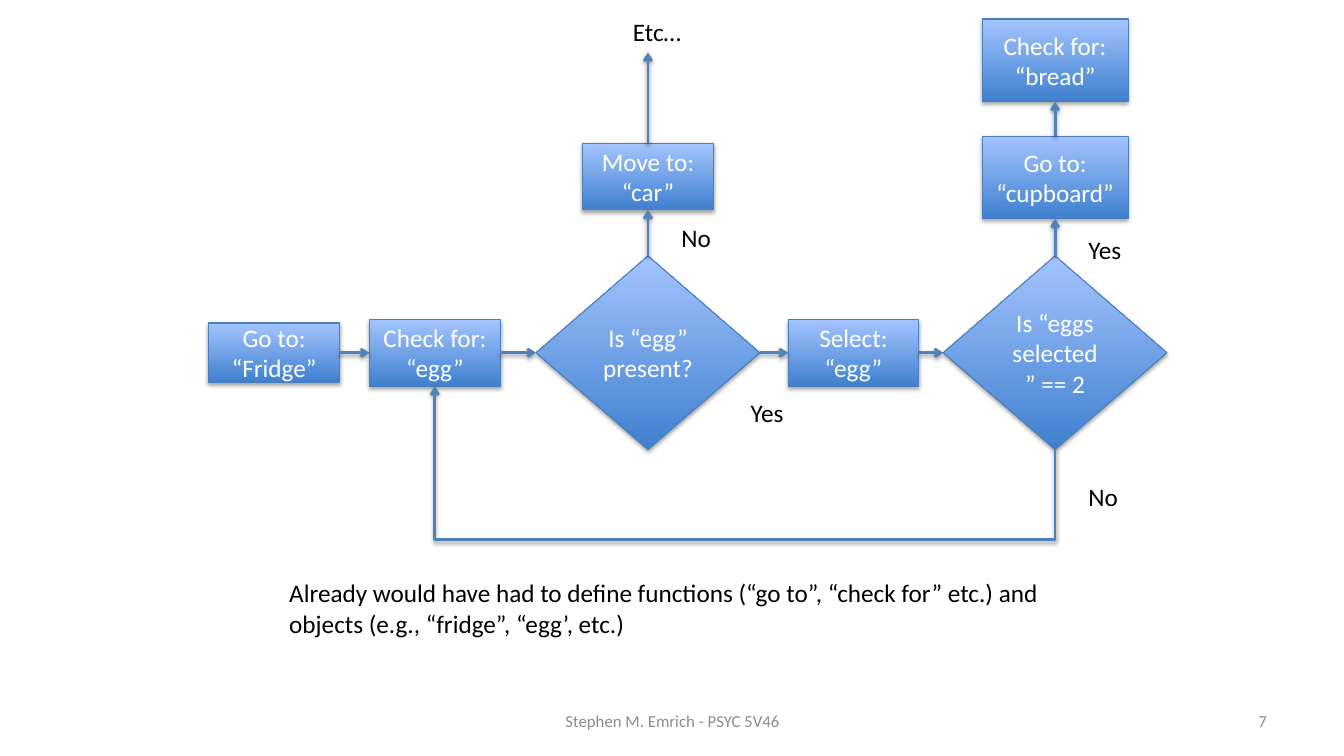
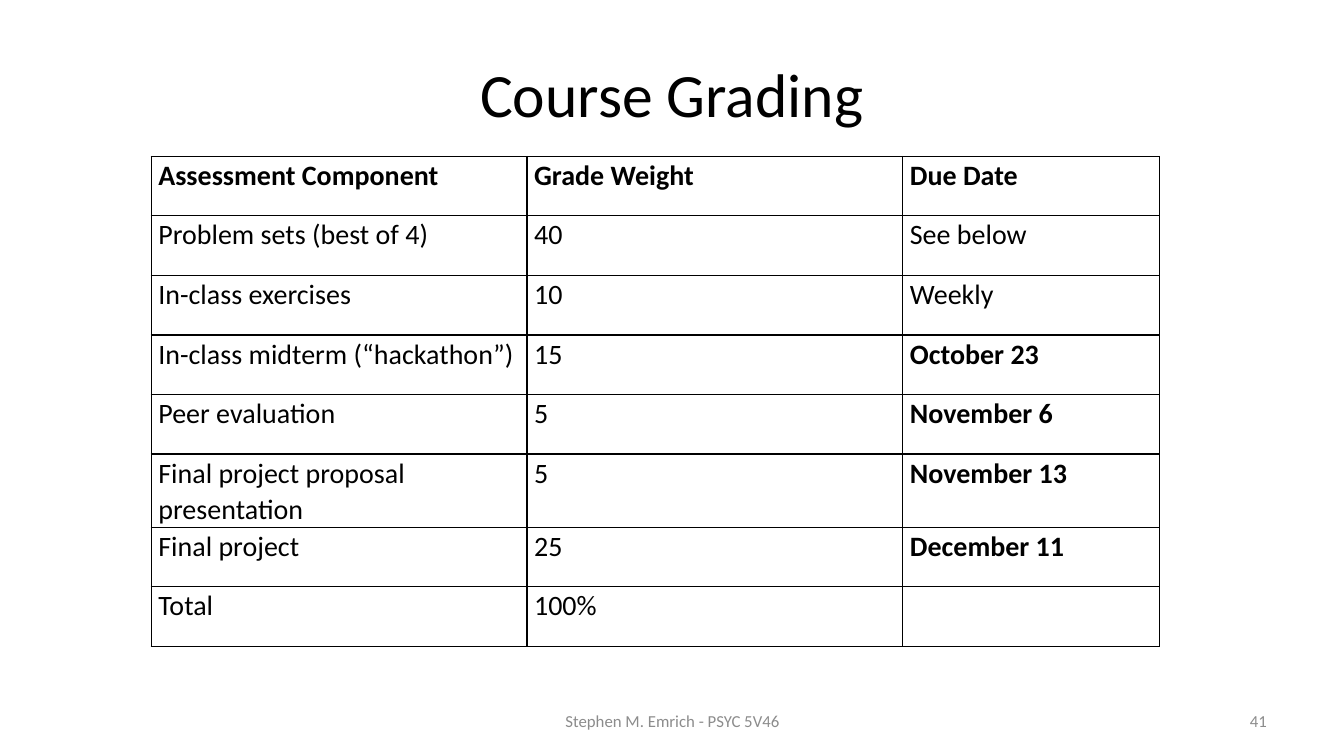
from lxml import etree
from pptx import Presentation
from pptx.dml.color import RGBColor
from pptx.enum import shapes, text
from pptx.oxml import parse_xml
from pptx.oxml.ns import nsdecls, qn
from pptx.util import Cm, Pt

FONT = "Calibri"
BLACK, WHITE, GREY = "000000", "FFFFFF", "8C8C8C"
DEEP_BLUE, PALE_BLUE, EDGE_BLUE, ARROW_BLUE = "3F80CE", "A4C4FF", "4B7EBC", "4F81BD"
FOOTER = "Stephen M. Emrich - PSYC 5V46"

RECT, DIAMOND = shapes.MSO_SHAPE.RECTANGLE, shapes.MSO_SHAPE.DIAMOND
LEFT, CENTER, RIGHT = text.PP_ALIGN.LEFT, text.PP_ALIGN.CENTER, text.PP_ALIGN.RIGHT
MIDDLE, TOP = text.MSO_ANCHOR.MIDDLE, text.MSO_ANCHOR.TOP
SITE = {"top": 0, "left": 1, "bottom": 2, "right": 3}

# Flowchart, in cm: columns and main row give the centres of the steps
EGG_X, PRESENT_X, COUNT_X, MAIN_Y = 10.96, 16.33, 26.59, 8.89
STEP, CUPBOARD, DECISION = (3.3, 1.68), (3.68, 2.08), (5.64, 4.88)
STEPS = {
    "fridge": (RECT, 6.91, MAIN_Y, (3.3, 1.5), ["Go to: “Fridge”"]),
    "egg": (RECT, EGG_X, MAIN_Y, STEP, ["Check for: “egg”"]),
    "present": (DIAMOND, PRESENT_X, MAIN_Y, DECISION, ["Is “egg” present?"]),
    "select": (RECT, 21.51, MAIN_Y, STEP, ["Select: “egg”"]),
    "count": (DIAMOND, COUNT_X, MAIN_Y, DECISION, ["Is “eggs selected” == 2"]),
    "car": (RECT, PRESENT_X, 4.45, STEP, ["Move to: “car”"]),
    "cupboard": (RECT, COUNT_X, 4.47, CUPBOARD, ["Go to: “cupboard”"]),
    "bread": (RECT, COUNT_X, 1.52, CUPBOARD, ["Check for:", "“bread”"]),
}
FLOWS = [
    ("fridge", "right", "egg", "left"),
    ("egg", "right", "present", "left"),
    ("present", "right", "select", "left"),
    ("select", "right", "count", "left"),
    ("present", "top", "car", "bottom"),
    ("count", "top", "cupboard", "bottom"),
    ("cupboard", "top", "bread", "bottom"),
]
ETC_Y, LOOP_DROP = 1.32, 2.27
LABELS = [
    ("Yes", 18.67, 9.88, 1.35),
    ("No", 16.92, 5.49, 1.27),
    ("Yes", 27.18, 5.79, 1.35),
    ("No", 27.18, 12.01, 1.27),
    ("Etc…", 15.7, 0.28, 1.8),
]
REMARK = ("Already would have had to define functions (“go to”, “check for” etc.) "
          "and objects (e.g., “fridge”, “egg’, etc.)")

GRADING = [
    ("Assessment Component", "Grade Weight", "Due Date"),
    ("Problem sets (best of 4)", "40", "See below"),
    ("In-class exercises", "10", "Weekly"),
    ("In-class midterm (“hackathon”)", "15", "October 23"),
    ("Peer evaluation", "5", "November 6"),
    ("Final project proposal presentation", "5", "November 13"),
    ("Final project", "25", "December 11"),
    ("Total", "100%", ""),
]
FIXED_DATES = {"October 23", "November 6", "November 13", "December 11"}
COLUMN_WIDTHS, ROW_HEIGHT = (9.47, 9.47, 6.48), 1.5


def rgb(value):
    return RGBColor.from_string(value)


def write(frame, paragraphs, size, color, align=LEFT, anchor=TOP):
    frame.vertical_anchor = anchor
    for index, words in enumerate(paragraphs):
        paragraph = frame.paragraphs[0] if index == 0 else frame.add_paragraph()
        paragraph.alignment = align
        run = paragraph.add_run()
        run.text = words
        run.font.size, run.font.name = Pt(size), FONT
        run.font.color.rgb = rgb(color)


def add_text(slide, words, box, size=18, color=BLACK, wrap=True, **layout):
    frame = slide.shapes.add_textbox(*map(Cm, box)).text_frame
    frame.word_wrap = wrap
    write(frame, [words], size, color, **layout)


def add_footer(slide, number):
    style = dict(size=12, color=GREY, anchor=MIDDLE)
    add_text(slide, FOOTER, (11.59, 17.65, 10.72, 1.01), align=CENTER, **style)
    add_text(slide, number, (24.28, 17.65, 7.9, 1.01), align=RIGHT, **style)


def cast_shadow(shape, distance, opacity):
    shape._element.spPr.append(parse_xml(
        f'<a:effectLst {nsdecls("a")}><a:outerShdw blurRad="{Pt(3.1)}" '
        f'dist="{Pt(distance)}" dir="5400000" rotWithShape="0">'
        f'<a:srgbClr val="{BLACK}"><a:alpha val="{opacity * 1000}"/></a:srgbClr>'
        '</a:outerShdw></a:effectLst>'))


def add_step(slide, kind, center_x, center_y, size, paragraphs):
    width, height = size
    step = slide.shapes.add_shape(kind, Cm(center_x - width / 2),
                                  Cm(center_y - height / 2), Cm(width), Cm(height))
    step.fill.gradient()
    step.fill.gradient_angle = 90
    for stop, color in zip(step.fill.gradient_stops, (DEEP_BLUE, PALE_BLUE)):
        stop.color.rgb = rgb(color)
    step.line.color.rgb, step.line.width = rgb(EDGE_BLUE), Pt(0.75)
    cast_shadow(step, 1.8, 35)
    write(step.text_frame, paragraphs, 18, WHITE, CENTER, MIDDLE)
    return step


def add_arrow(slide, kind=shapes.MSO_CONNECTOR.STRAIGHT, ends=(0, 0, 0, 0)):
    arrow = slide.shapes.add_connector(kind, *map(Cm, ends))
    arrow.line.color.rgb, arrow.line.width = rgb(ARROW_BLUE), Pt(2)
    etree.SubElement(arrow.line._get_or_add_ln(), qn("a:tailEnd"), type="arrow")
    cast_shadow(arrow, 1.6, 38)
    return arrow


def glue(arrow, start, start_side, end, end_side):
    arrow.begin_connect(start, SITE[start_side])
    arrow.end_connect(end, SITE[end_side])


def add_loop(slide, start, end):
    """Arrow from the bottom of start, below both steps, up to the bottom of end."""
    loop = add_arrow(slide, shapes.MSO_CONNECTOR.ELBOW)
    glue(loop, start, "bottom", end, "bottom")
    span, rise = loop.width, loop.height
    middle_x, middle_y = loop.left + span // 2, loop.top + rise // 2
    loop.left, loop.top = middle_x - rise // 2, middle_y - span // 2
    loop.width, loop.height = rise, span
    xfrm = loop._element.spPr.find(qn("a:xfrm"))
    xfrm.attrib.pop("flipV", None)
    xfrm.set("flipH", "1")
    xfrm.set("rot", "5400000")
    geometry = loop._element.spPr.find(qn("a:prstGeom"))
    guides = geometry.find(qn("a:avLst"))
    if guides is None:
        guides = etree.SubElement(geometry, qn("a:avLst"))
    bend = round(-Cm(LOOP_DROP) / rise * 100000)
    etree.SubElement(guides, qn("a:gd"), name="adj1", fmla=f"val {bend}")


def build_flowchart(prs):
    slide = prs.slides.add_slide(prs.slide_layouts[6])
    steps = {name: add_step(slide, *step) for name, step in STEPS.items()}
    for start, start_side, end, end_side in FLOWS:
        glue(add_arrow(slide), steps[start], start_side, steps[end], end_side)
    onward = add_arrow(slide, ends=(PRESENT_X, 3.61, PRESENT_X, ETC_Y))
    onward.begin_connect(steps["car"], SITE["top"])
    add_loop(slide, steps["count"], steps["egg"])
    for words, left, top, width in LABELS:
        add_text(slide, words, (left, top, width, 1.02), wrap=False)
    add_text(slide, REMARK, (7.04, 14.43, 19.56, 1.8))
    add_footer(slide, "7")


def add_borders(cell):
    properties = cell._tc.get_or_add_tcPr()
    for index, side in enumerate(("lnL", "lnR", "lnT", "lnB")):
        properties.insert(index, parse_xml(
            f'<a:{side} {nsdecls("a")} w="{Pt(1)}"><a:solidFill>'
            f'<a:srgbClr val="{BLACK}"/></a:solidFill></a:{side}>'))


def build_grading(prs):
    slide = prs.slides.add_slide(prs.slide_layouts[5])
    title = slide.shapes.title
    title.left, title.top, title.width, title.height = map(Cm, (1.69, 0.76, 30.48, 3.18))
    write(title.text_frame, ["Course Grading"], 44, BLACK, CENTER, MIDDLE)

    grades = slide.shapes.add_table(
        len(GRADING), len(COLUMN_WIDTHS), Cm(3.81), Cm(3.94),
        Cm(sum(COLUMN_WIDTHS)), Cm(ROW_HEIGHT * len(GRADING))).table
    grades.first_row = grades.horz_banding = False
    for column, width in zip(grades.columns, COLUMN_WIDTHS):
        column.width = Cm(width)
    for row_index, entries in enumerate(GRADING):
        grades.rows[row_index].height = Cm(ROW_HEIGHT)
        for column_index, entry in enumerate(entries):
            cell = grades.cell(row_index, column_index)
            cell.fill.background()
            add_borders(cell)
            cell.margin_left = cell.margin_right = Cm(0.18)
            cell.margin_top = cell.margin_bottom = 0
            if not entry:
                continue
            write(cell.text_frame, [entry], 20, BLACK)
            paragraph = cell.text_frame.paragraphs[0]
            paragraph.line_spacing, paragraph.space_after = 1.07, Pt(8)
            paragraph.runs[0].font.bold = row_index == 0 or entry in FIXED_DATES
    add_footer(slide, "41")


def main():
    prs = Presentation()
    prs.slide_width, prs.slide_height = Cm(33.87), Cm(19.05)
    build_flowchart(prs)
    build_grading(prs)
    prs.save("out.pptx")


if __name__ == "__main__":
    main()
